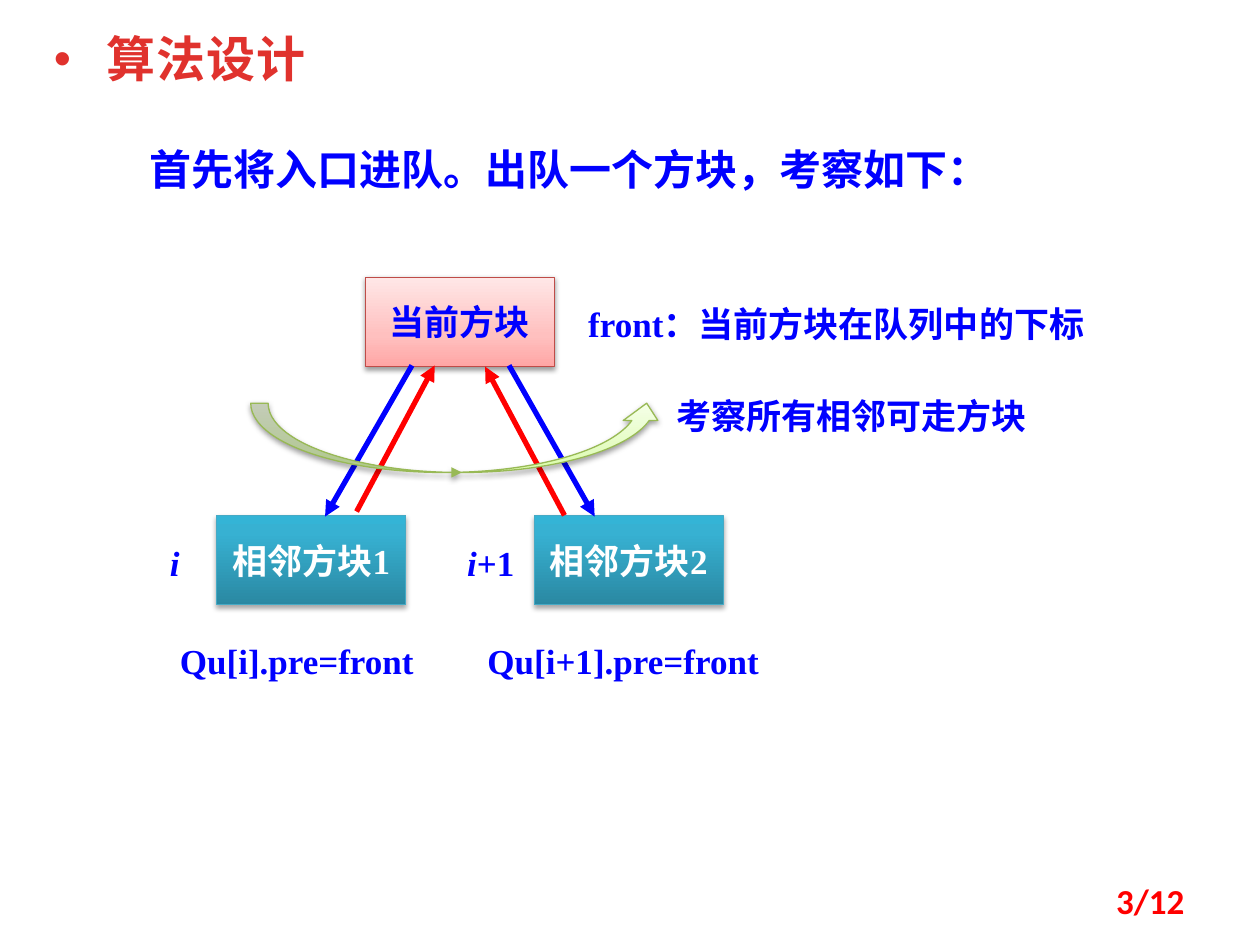
import pptx
import pptx.util
import pptx.dml.color
import pptx.enum.shapes
import pptx.enum.text
import pptx.oxml
import pptx.oxml.ns

Inches, Pt = pptx.util.Inches, pptx.util.Pt
RGB = pptx.dml.color.RGBColor.from_string
Shape = pptx.enum.shapes.MSO_SHAPE
Align = pptx.enum.text.PP_ALIGN
Anchor = pptx.enum.text.MSO_ANCHOR
NS = pptx.oxml.ns.nsdecls("a")
qn = pptx.oxml.ns.qn

HUES = {"blue": "0000FF", "red": "FF0000", "title": "E0322D", "white": "FFFFFF",
        "pink": "BF4C48", "teal": "46AAC5", "green": "98B955"}
FADES = {"pink": [(0, "FFA6A5"), (35, "FFC0BF"), (100, "FFE7E7")],
         "teal": [(0, "2A88A2"), (80, "37B1D2"), (100, "34B4D6")],
         "green": [(0, "DAFDA7"), (35, "E4FCC2"), (100, "F5FFE7")]}
TAIL = f'<a:tailEnd {NS} type="triangle"/>'

deck = pptx.Presentation()
deck.slide_width, deck.slide_height = Inches(10), Inches(7.5)
slide = deck.slides.add_slide(deck.slide_layouts[6])


def write(shape, text, hue="blue", size=20, face="Times New Roman"):
    """Fill a shape with one bold line of text."""
    frame = shape.text_frame
    frame.word_wrap = True
    frame.text = text
    para = frame.paragraphs[0]
    for run in para.runs:
        font = run.font
        font.size, font.bold, font.name = Pt(size), True, face
        font.color.rgb = RGB(HUES[hue])
        font._element.append(pptx.oxml.parse_xml(
            f'<a:ea {NS} typeface="Noto Sans CJK SC"/>'))
    return para


def glossy(kind, box, hue, dim):
    """Add a shape with an upward gradient and a soft shadow."""
    shape = slide.shapes.add_shape(kind, *map(Inches, box))
    shape.line.color.rgb = RGB(HUES[hue])
    shape.line.width = Pt(0.75)
    stops = "".join(f'<a:gs pos="{at * 1000}"><a:srgbClr val="{tone}"/></a:gs>'
                    for at, tone in FADES[hue])
    props = shape._element.spPr
    props.find(qn("a:prstGeom")).addnext(pptx.oxml.parse_xml(
        f'<a:gradFill {NS} rotWithShape="1"><a:gsLst>{stops}</a:gsLst>'
        '<a:lin ang="16200000" scaled="0"/></a:gradFill>'))
    props.append(pptx.oxml.parse_xml(
        f'<a:effectLst {NS}><a:outerShdw blurRad="{Pt(3.1)}" dist="{Pt(1.6)}" '
        'dir="5400000" rotWithShape="0"><a:srgbClr val="000000">'
        f'<a:alpha val="{dim * 1000}"/></a:srgbClr></a:outerShdw></a:effectLst>'))
    return shape


# Blocks: the current one above its two neighbours
blocks = [("当前方块", 2.9, 2.2, "pink", "blue", 38),
          ("相邻方块1", 1.72, 4.09, "teal", "white", 35),
          ("相邻方块2", 4.24, 4.09, "teal", "white", 35)]
for text, x, y, hue, ink, dim in blocks:
    block = glossy(Shape.RECTANGLE, (x, y, 1.5, 0.71), hue, dim)
    write(block, text, ink).alignment = Align.CENTER
    block.text_frame.word_wrap = False
    block.text_frame.vertical_anchor = Anchor.MIDDLE

# Arrows: blue down to the neighbours, red back up
arrows = [("blue", 3.27, 2.9, 2.58, 4.1), ("blue", 4.04, 2.9, 4.72, 4.1),
          ("red", 2.83, 4.06, 3.45, 2.9), ("red", 4.48, 4.09, 3.85, 2.91)]
for hue, *ends in arrows:
    arrow = slide.shapes.add_connector(
        pptx.enum.shapes.MSO_CONNECTOR.STRAIGHT, *map(Inches, ends))
    arrow.line.color.rgb = RGB(HUES[hue])
    arrow.line.width = Pt(3)
    arrow.line._get_or_add_ln().append(pptx.oxml.parse_xml(TAIL))
    arrow._element.spPr.append(pptx.oxml.parse_xml(f"<a:effectLst {NS}/>"))

# Sweep across the neighbours
sweep = glossy(Shape.CURVED_UP_ARROW, (1.99, 3.2, 3.28, 0.55), "green", 38)
sweep.line._get_or_add_ln().append(pptx.oxml.parse_xml(TAIL))

# Lead sentence and labels
labels = [("首先将入口进队。出队一个方块，考察如下：", 1.09, 1.09, 7.03, 0.5, 24),
          ("front：当前方块在队列中的下标", 4.57, 2.35, 4.3, 0.44, 20),
          ("考察所有相邻可走方块", 5.27, 3.08, 3.13, 0.44, 20),
          ("i", 1.25, 4.25, 0.31, 0.43, 20),
          ("i", 3.61, 4.25, 0.63, 0.43, 20),
          ("Qu[i].pre=front", 1.33, 5.03, 2.2, 0.43, 20),
          ("Qu[i+1].pre=front", 3.77, 5.03, 2.52, 0.43, 20)]
for text, x, y, wide, high, size in labels:
    label = slide.shapes.add_textbox(*map(Inches, (x, y, wide, high)))
    para = write(label, text, size=size)
    if text == "i":
        para.runs[0].font.italic = True
        if x > 3:
            more = para.add_run()
            more.text = "+1"
            more.font.size, more.font.bold = Pt(size), True
            more.font.name = "Times New Roman"
            more.font.color.rgb = RGB(HUES["blue"])

# Title with bullet
title = slide.shapes.add_textbox(*map(Inches, (0.33, 0.23, 2.8, 0.53)))
para = write(title, "算法设计", "title", 28, "Noto Sans CJK SC")
para.line_spacing = 0.9
para.runs[0].font._element.set("spc", "50")
props = para._p.get_or_add_pPr()
props.set("marL", str(Inches(0.42)))
props.set("indent", str(-Inches(0.42)))
for part in (f'<a:buClr {NS}><a:srgbClr val="{HUES["title"]}"/></a:buClr>',
             f'<a:buFont {NS} typeface="Arial"/>', f'<a:buChar {NS} char="•"/>'):
    props.append(pptx.oxml.parse_xml(part))

# Page number
page = slide.shapes.add_textbox(*map(Inches, (7.17, 6.95, 2.33, 0.4)))
write(page, "3/12", "red", 20, "Calibri").alignment = Align.RIGHT
page.text_frame.vertical_anchor = Anchor.MIDDLE

deck.save("out.pptx")
